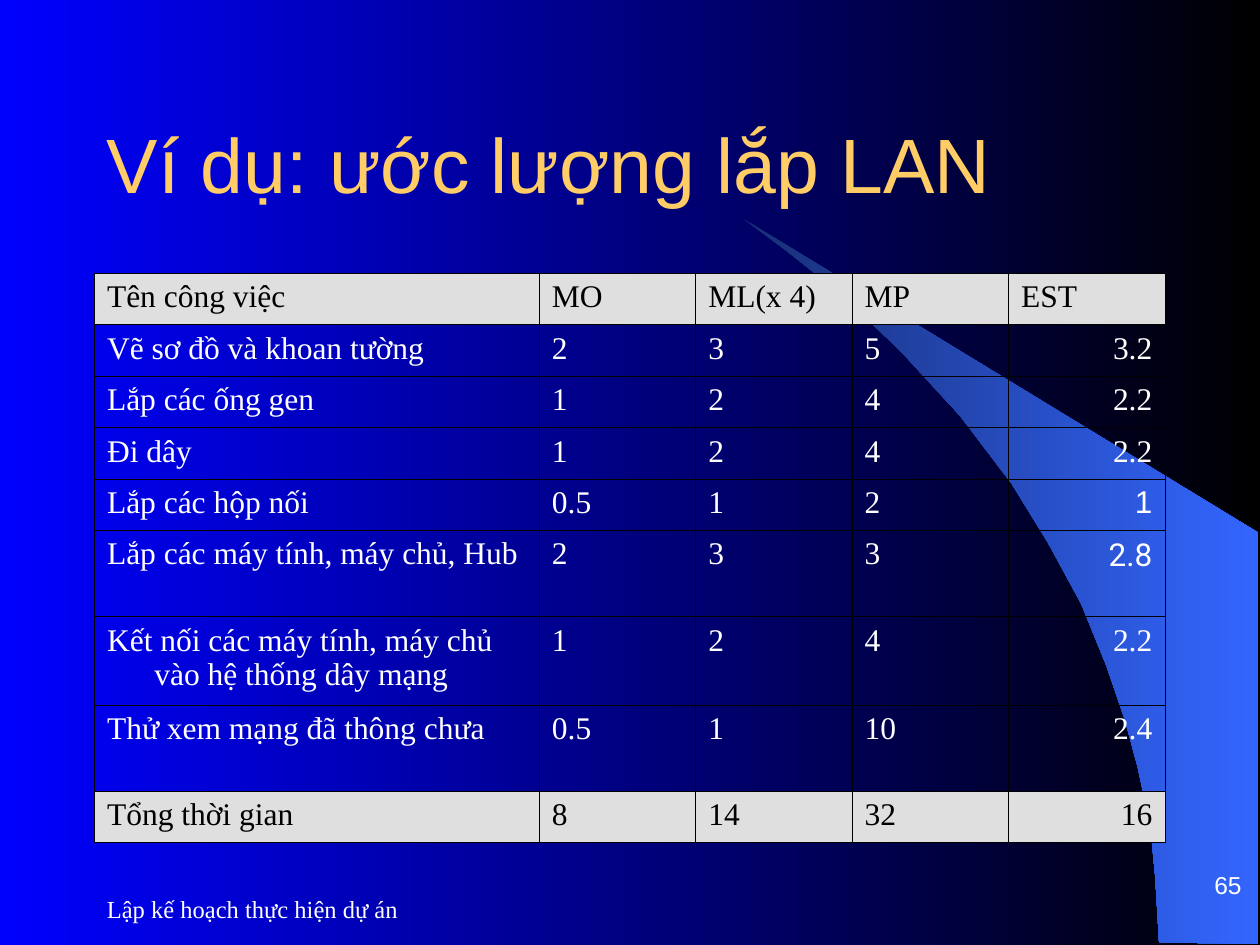
from lxml import etree
from pptx import Presentation
from pptx.dml.color import RGBColor
from pptx.enum.text import MSO_ANCHOR, PP_ALIGN
from pptx.oxml.ns import qn
from pptx.util import Pt

LEFT, RIGHT, JUSTIFY = PP_ALIGN.LEFT, PP_ALIGN.RIGHT, PP_ALIGN.JUSTIFY
MIDDLE, BOTTOM = MSO_ANCHOR.MIDDLE, MSO_ANCHOR.BOTTOM
SERIF, SANS, ROBOTO = "Times New Roman", "Arial", "Roboto"
COLORS = {
    "blue": "0000FF",
    "black": "000000",
    "white": "FFFFFF",
    "title": "FFCC66",
    "band": "DFDFDF",
    "swoosh_dark": "182F76",
    "swoosh_light": "3366FF",
}

SWOOSH = [
    (662.4, 538.6), (719.3, 539.3), (719.3, 304.6), (424.1, 124.6),
    (449.3, 143.3), (470.2, 159.8), (493.2, 180), (515.5, 201.6),
    (548.6, 237.6), (578.2, 276.5), (599, 310.3), (617.8, 344.9),
    (632.2, 380.2), (643, 411.8), (650.2, 438.5), (657.4, 472.3),
    (660.2, 501.1),
]
TASKS = [
    ("Tên công việc", "MO", "ML(x 4)", "MP", "EST"),
    ("Vẽ sơ đồ và khoan tường", "2", "3", "5", "3.2"),
    ("Lắp các ống gen", "1", "2", "4", "2.2"),
    ("Đi dây", "1", "2", "4", "2.2"),
    ("Lắp các hộp nối", "0.5", "1", "2", "1"),
    ("Lắp các máy tính, máy chủ, Hub", "2", "3", "3", "2.8"),
    ("Kết nối các máy tính, máy chủ vào hệ thống dây mạng", "1", "2", "4", "2.2"),
    ("Thử xem mạng đã thông chưa", "0.5", "1", "10", "2.4"),
    ("Tổng thời gian", "8", "14", "32", "16"),
]
COL_WIDTHS = [254.2] + [89.4] * 4
ROW_HEIGHTS = [29.4] * 5 + [49.2, 50.2, 49.4, 29.4]
CELL_FONTS = {(4, 4): SANS, (5, 4): ROBOTO}


class Deck:
    def __init__(self, prs):
        self.s = prs.slides.add_slide(prs.slide_layouts[6])

    def rgb(self, color):
        return RGBColor.from_string(COLORS[color])

    def gradient(self, fill, start, end):
        fill.gradient()
        fill.gradient_angle = 0
        for stop, color, position in zip(fill.gradient_stops, (start, end), (0, 1)):
            stop.color.rgb = self.rgb(color)
            stop.position = position

    def background(self, start, end):
        self.gradient(self.s.background.fill, start, end)

    def swoosh(self, points, start, end):
        points = [(Pt(x), Pt(y)) for x, y in points]
        builder = self.s.shapes.build_freeform(*points[0])
        builder.add_line_segments(points[1:])
        sp = builder.convert_to_shape()
        sp.shadow.inherit = False
        sp.line.fill.background()
        self.gradient(sp.fill, start, end)

    def paragraph(self, tf, text, size, font, color, align):
        p = tf.paragraphs[0]
        p.text = text
        p.alignment = align
        r = p.runs[0]
        r.font.size = Pt(size)
        r.font.name = font
        r.font.color.rgb = self.rgb(color)
        return p

    def text(self, box, text, size, font, color, align=LEFT, anchor=MIDDLE, inset=3.6):
        tf = self.s.shapes.add_textbox(*map(Pt, box)).text_frame
        tf.word_wrap = True
        tf.vertical_anchor = anchor
        tf.margin_top = tf.margin_bottom = Pt(inset)
        self.paragraph(tf, text, size, font, color, align)

    def borders(self, cell, color, width):
        tc_pr = cell._tc.get_or_add_tcPr()
        for side in ("a:lnL", "a:lnR", "a:lnT", "a:lnB"):
            ln = etree.SubElement(tc_pr, qn(side), w=str(Pt(width)))
            fill = etree.SubElement(ln, qn("a:solidFill"))
            etree.SubElement(fill, qn("a:srgbClr"), val=COLORS[color])

    def cell(self, cell, text, font, align, banded):
        color = "black" if banded else "white"
        p = self.paragraph(cell.text_frame, text, 18, font, color, align)
        p_pr = p._p.get_or_add_pPr()
        p_pr.set("marL", str(Pt(27)))
        p_pr.set("indent", str(Pt(-27)))
        self.borders(cell, "black", 0.45)
        if banded:
            cell.fill.solid()
            cell.fill.fore_color.rgb = self.rgb("band")
        else:
            cell.fill.background()

    def table(self, left, top, rows, widths, heights):
        box = map(Pt, (left, top, sum(widths), sum(heights)))
        table = self.s.shapes.add_table(len(rows), len(widths), *box).table
        table.first_row = table.horz_banding = False
        for column, width in zip(table.columns, widths):
            column.width = Pt(width)
        last_row, last_col = len(rows) - 1, len(widths) - 1
        for i, row in enumerate(rows):
            table.rows[i].height = Pt(heights[i])
            for j, text in enumerate(row):
                if j == 0 and i > 0:
                    align = LEFT
                elif j == last_col and i > 0:
                    align = RIGHT
                else:
                    align = JUSTIFY
                font = CELL_FONTS.get((i, j), SERIF)
                self.cell(table.cell(i, j), text, font, align, i in (0, last_row))


def main():
    prs = Presentation()
    prs.slide_width, prs.slide_height = Pt(720), Pt(540)
    deck = Deck(prs)
    deck.background("blue", "black")
    deck.swoosh(SWOOSH, "swoosh_dark", "swoosh_light")
    deck.text((54, 501, 336, 36), "Lập kế hoạch thực hiện dự án", 14, SERIF, "white")
    deck.text((566.6, 484, 150, 30), "65", 14, SANS, "white", RIGHT, BOTTOM, 0)
    deck.text((54, 48, 636.5, 90), "Ví dụ: ước lượng lắp LAN", 44, SANS, "title")
    deck.table(54, 156.2, TASKS, COL_WIDTHS, ROW_HEIGHTS)
    prs.save("out.pptx")


if __name__ == "__main__":
    main()
